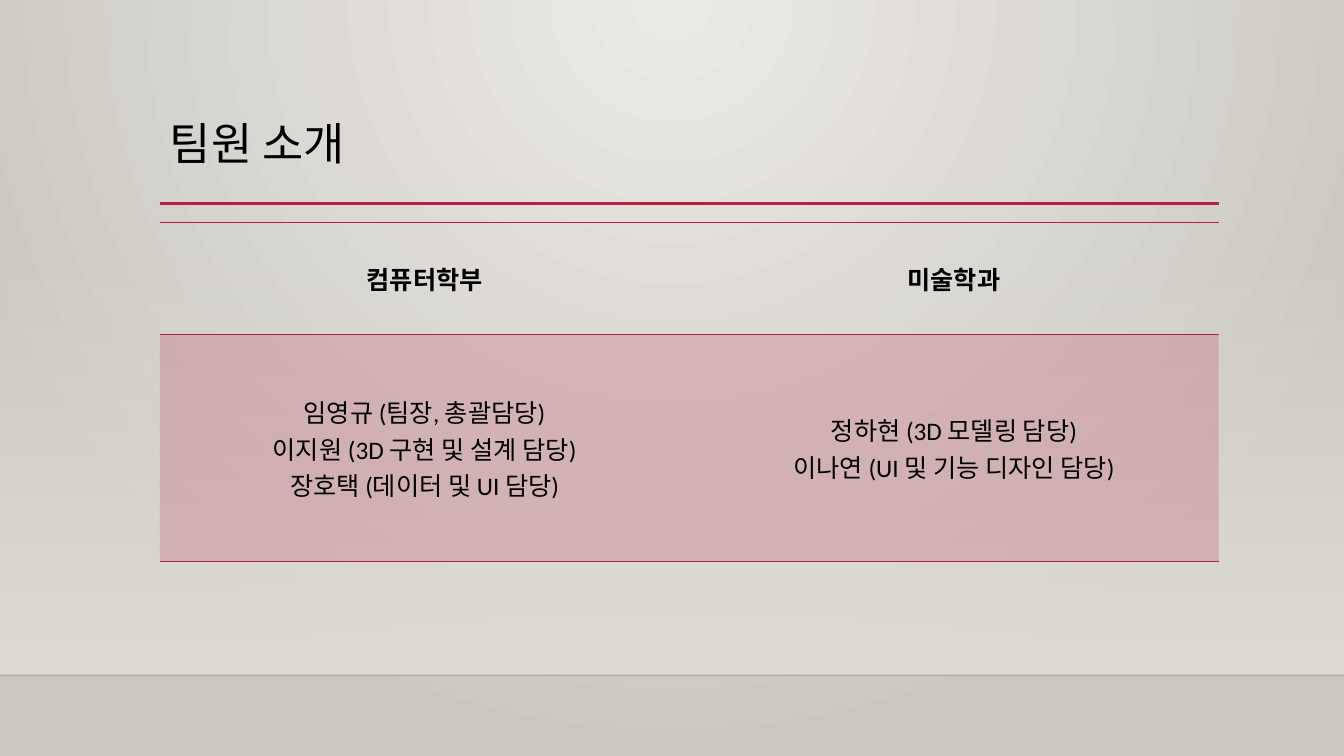
import pptx
import pptx.dml.color
import pptx.enum.shapes
import pptx.enum.text
import pptx.oxml.ns
import pptx.oxml.xmlchemy
import pptx.util
from lxml import etree
from pptx.util import Cm

ACCENT = "B71E42"
WALL = "DFDBD5"
TEXT = "000000"
FONT = "Calibri"
NO_STYLE = "{2D5ABB26-0587-4C30-8999-92F81FD0307C}"
DEPARTMENTS = {
    "컴퓨터학부": [
        "임영규 (팀장, 총괄담당)",
        "이지원 (3D 구현 및 설계 담당)",
        "장호택 (데이터 및 UI 담당)",
    ],
    "미술학과": [
        "정하현 (3D 모델링 담당)",
        "이나연 (UI 및 기능 디자인 담당)",
    ],
}
qn = pptx.oxml.ns.qn


def rgb(hex_color):
    return pptx.dml.color.RGBColor.from_string(hex_color)


def set_opacity(color_parent, percent):
    """Set the opacity of the first colour found inside an element."""
    color = next(color_parent.iter(qn("a:srgbClr")))
    etree.SubElement(color, qn("a:alpha"), val=str(percent * 1000))


def fill_gradient(fill, start, end):
    fill.gradient()
    for stop, color, position in zip(fill.gradient_stops, (start, end), (0, 1)):
        stop.color.rgb = rgb(color)
        stop.position = position


def style_text(frame, lines, size, bold=False, align=None):
    frame.word_wrap = True
    frame.text = "\n".join(lines)
    for paragraph in frame.paragraphs:
        paragraph.alignment = align
        paragraph.font.name = FONT
        paragraph.font.size = pptx.util.Pt(size)
        paragraph.font.bold = bold
        paragraph.font.color.rgb = rgb(TEXT)


def add_rule(slide, left, top, width, color, points):
    rule = slide.shapes.add_connector(
        pptx.enum.shapes.MSO_CONNECTOR.STRAIGHT, left, top, left + width, top)
    rule.line.color.rgb = rgb(color)
    rule.line.width = pptx.util.Pt(points)
    etree.SubElement(rule._element.spPr, qn("a:effectLst"))
    return rule


def add_backdrop(slide, width, wall_top, floor_top):
    """Glow from the top centre, with a wall that fades in above the floor."""
    fill_gradient(slide.background.fill, "ECEAE7", "CAC7C1")
    glow = next(slide._element.iter(qn("a:gradFill")))
    glow.remove(glow.find(qn("a:lin")))
    circle = etree.SubElement(glow, qn("a:path"), {"path": "circle"})
    etree.SubElement(circle, qn("a:fillToRect"),
                     l="43000", t="0", r="43000", b="100000")

    wall = slide.shapes.add_shape(
        pptx.enum.shapes.MSO_SHAPE.RECTANGLE, 0, wall_top, width, floor_top - wall_top)
    wall.shadow.inherit = False
    wall.line.fill.background()
    fill_gradient(wall.fill, WALL, WALL)
    wall.fill.gradient_angle = 270
    set_opacity(wall._element.spPr, 0)

    floor_edge = add_rule(slide, 0, floor_top, width, "000001", 1)
    set_opacity(floor_edge._element.spPr, 20)


def add_title(slide, left, top, width, height, title):
    box = slide.shapes.add_textbox(left, top, width, height)
    style_text(box.text_frame, [title], 32)
    box.text_frame.vertical_anchor = pptx.enum.text.MSO_ANCHOR.MIDDLE
    box.text_frame.paragraphs[0].line_spacing = 0.9
    add_rule(slide, left, top + height, width, ACCENT, 2.5)


def add_border(cell, side):
    """Draw one border; side is lnT or lnB, and lnT must be added last."""
    border = etree.Element(qn("a:" + side), w="12700")
    solid = etree.SubElement(border, qn("a:solidFill"))
    etree.SubElement(solid, qn("a:srgbClr"), val=ACCENT)
    cell._tc.get_or_add_tcPr().insert(0, border)


def add_team_table(slide, left, top, width, header_height, body_height):
    table = slide.shapes.add_table(
        2, len(DEPARTMENTS), left, top, width, header_height + body_height).table
    table.first_row = table.horz_banding = False
    table._tbl.tblPr.find(qn("a:tableStyleId")).text = NO_STYLE
    table.rows[0].height, table.rows[1].height = header_height, body_height

    for column, (department, members) in enumerate(DEPARTMENTS.items()):
        header, body = table.cell(0, column), table.cell(1, column)
        for cell, lines in ((header, [department]), (body, members)):
            style_text(cell.text_frame, lines, 18, cell is header,
                       pptx.enum.text.PP_ALIGN.CENTER)
            cell.vertical_anchor = pptx.enum.text.MSO_ANCHOR.MIDDLE
        header.fill.background()
        body.fill.solid()
        body.fill.fore_color.rgb = rgb(ACCENT)
        set_opacity(body._tc.tcPr, 20)
        for cell in (header, body):
            add_border(cell, "lnB")
        add_border(header, "lnT")


def main():
    deck = pptx.Presentation()
    deck.slide_width, deck.slide_height = Cm(33.87), Cm(19.05)
    slide = deck.slides.add_slide(deck.slide_layouts[6])
    left, width = Cm(4.03), Cm(26.68)
    add_backdrop(slide, deck.slide_width, Cm(5.61), Cm(17.02))
    add_title(slide, left, Cm(2.22), width, Cm(2.91), "팀원 소개")
    add_team_table(slide, left, Cm(5.6), width, Cm(2.83), Cm(5.72))
    deck.save("out.pptx")


if __name__ == "__main__":
    main()
